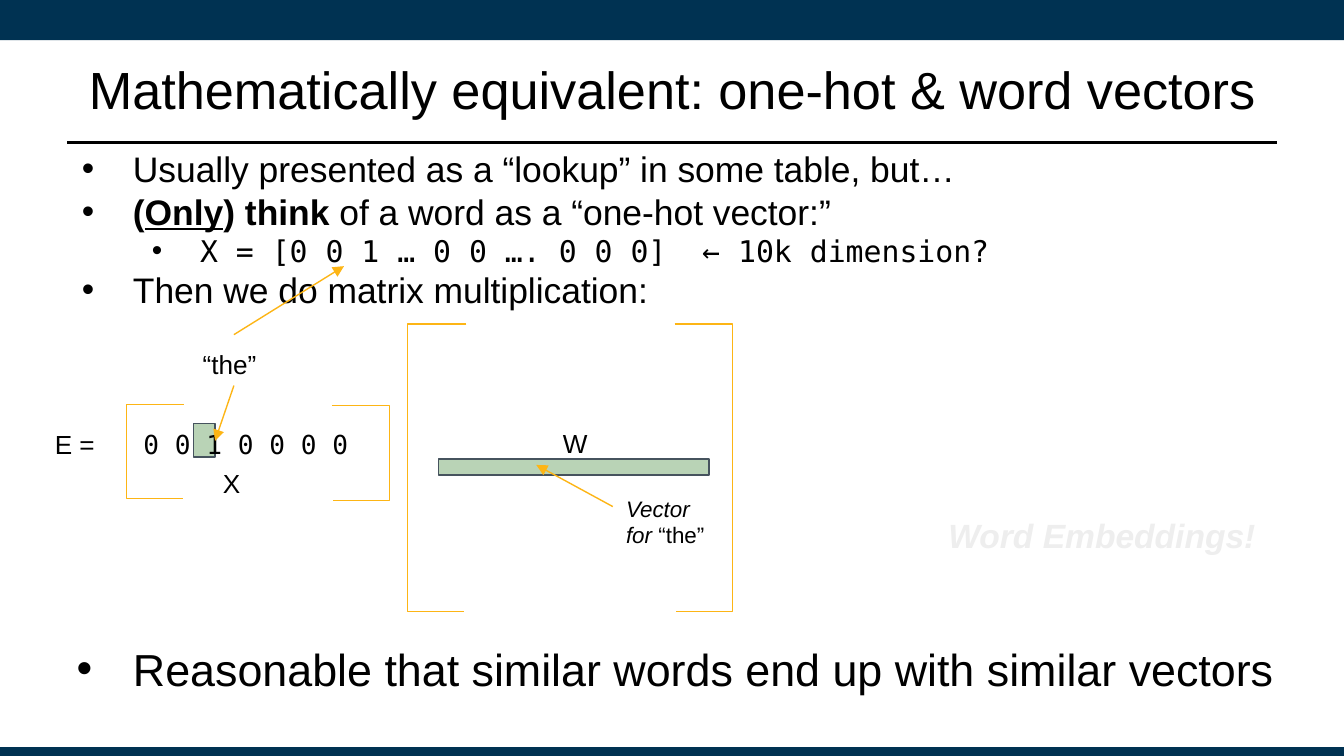
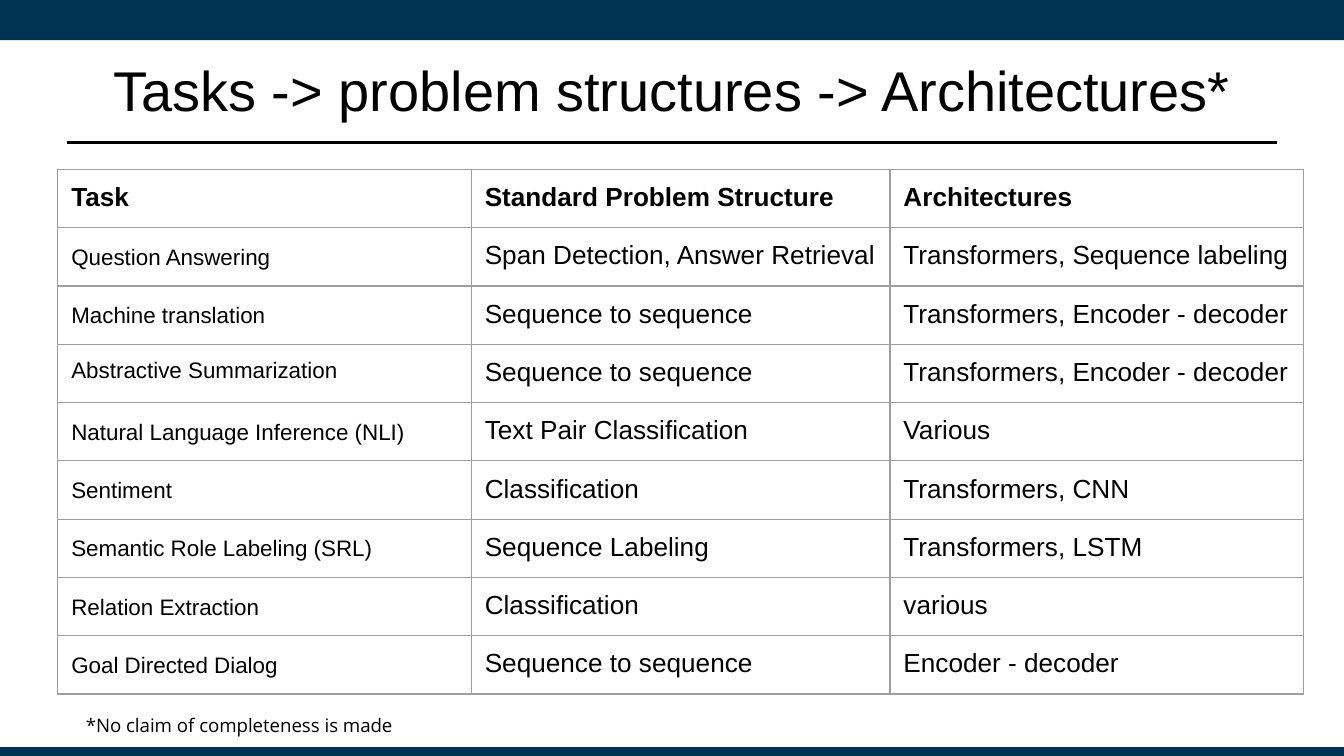
from dataclasses import dataclass, field
from typing import Any

import pptx
import pptx.dml.color
import pptx.enum.shapes
import pptx.enum.text
import pptx.oxml
import pptx.oxml.ns
import pptx.util
from pptx.util import Pt

SHAPE = pptx.enum.shapes.MSO_SHAPE
ANCHOR = pptx.enum.text.MSO_ANCHOR
ALIGN = pptx.enum.text.PP_ALIGN
COLORS = {
    "navy": "003252",
    "black": "000000",
    "white": "FFFFFF",
    "gold": "FDB515",
    "sage": "B9D3B6",
    "slate": "46535E",
    "pale": "EEEEEE",
    "grid": "9E9E9E",
}
SLIDE_WIDTH, SLIDE_HEIGHT = 720, 405
SANS, MONO, NOTE_FONT = "Arial", "DejaVu Sans Mono", "Open Sans"
PLACEHOLDER_INSETS = (5.04, 2.7)
LABEL_INSETS = (7.2, 7.2)


@dataclass(frozen=True)
class Span:
    text: str
    size: float = 14
    font: str = SANS
    color: str = "black"
    style: dict[str, bool] = field(default_factory=dict)


@dataclass(frozen=True)
class Line:
    spans: list[Span]
    format: dict[str, Any] = field(default_factory=dict)
    bullet: tuple[float, float] | None = None


@dataclass(frozen=True)
class TextBlock:
    box: tuple[float, float, float, float]
    lines: list[Line]
    insets: tuple[float, float] = LABEL_INSETS
    anchor: Any = ANCHOR.TOP


@dataclass(frozen=True)
class Bar:
    box: tuple[float, float, float, float]
    fill: str
    outline: str | None = None
    rotation: float = 0


@dataclass(frozen=True)
class Stroke:
    start: tuple[float, float]
    end: tuple[float, float]
    color: str = "gold"
    width: float = 0.75
    arrow: bool = True


@dataclass(frozen=True)
class Bracket:
    spine: float
    top: float
    bottom: float
    upper_tip: float
    lower_tip: float


FRAME_BARS = [
    Bar((0, 0, SLIDE_WIDTH, 21.6), "navy"),
    Bar((0, 400.3, SLIDE_WIDTH, 5.5), "navy"),
]
TITLE_RULE = Stroke((36, 76.3), (684, 76.3), "black", 1.25, False)

TOP_BULLET = (36, -27.4)
BODY_LINES = [
    Line([Span("Usually presented as a “lookup” in some table, but…", 19)], bullet=TOP_BULLET),
    Line(
        [
            Span("(", 19, style={"bold": True}),
            Span("Only", 19, style={"bold": True, "underline": True}),
            Span(") think ", 19, style={"bold": True}),
            Span("of a word as a “one-hot vector:”", 19),
        ],
        bullet=TOP_BULLET,
    ),
    Line(
        [Span("X = [0 0 1 … 0 0 …. 0 0 0]  ← 10k dimension?", 16, MONO)],
        {"level": 1},
        (72, -25.9),
    ),
    Line([Span("Then we do matrix multiplication:", 19)], bullet=TOP_BULLET),
]
CONCLUSION = Line(
    [Span("Reasonable that similar words end up with similar vectors", 24)],
    bullet=(36, -30.2),
)
EMBEDDING_BLOCKS = [
    TextBlock((69.8, 222.5, 131.8, 27.4), [Line([Span("0 0 1 0 0 0 0", font=MONO)])]),
    TextBlock((30.2, 91.4, 648, 77.8), BODY_LINES, PLACEHOLDER_INSETS, ANCHOR.BOTTOM),
    TextBlock((294.5, 221.8, 33.8, 27.4), [Line([Span("W")])]),
    TextBlock((112.3, 243.4, 26.6, 23), [Line([Span("X")])]),
    TextBlock((101.5, 179.3, 47.5, 27.4), [Line([Span("“the”")])]),
    TextBlock((22.3, 222.5, 41, 27.4), [Line([Span("E =")])]),
    TextBlock((30.2, 341, 658.8, 38.9), [CONCLUSION], PLACEHOLDER_INSETS),
    TextBlock(
        (328.3, 257.8, 59.8, 27.4),
        [Line([Span("Vector for ", 12, style={"italic": True}), Span("“the”", 12)])],
    ),
    TextBlock(
        (501, 268.5, 185, 36),
        [Line([Span("Word Embeddings!", 18, color="pale", style={"bold": True, "italic": True})])],
    ),
]
VECTOR_BARS = [
    Bar((103.7, 226.8, 11.5, 18), "sage", "slate"),
    Bar((303.1, 177.8, 8.6, 144.7), "sage", "slate", 90),
]
BRACKETS = [
    Bracket(218.2, 173.5, 327.6, 249.8, 248.4),
    Bracket(392.4, 173.5, 327.6, 361.4, 362.2),
    Bracket(67.7, 216.7, 267.1, 98.6, 97.9),
    Bracket(208.8, 217.4, 268.3, 177.8, 178.6),
]
ARROWS = [
    Stroke((125.3, 206.6), (115.2, 236.2)),
    Stroke((125.3, 179.3), (184.3, 142.6)),
    Stroke((328.3, 271.4), (287.3, 249.1)),
]

TASK_ROWS = [
    ("Task", "Standard Problem Structure", "Architectures"),
    ("Question Answering", "Span Detection, Answer Retrieval", "Transformers, Sequence labeling"),
    ("Machine translation", "Sequence to sequence", "Transformers, Encoder - decoder"),
    ("Abstractive Summarization", "Sequence to sequence", "Transformers, Encoder - decoder"),
    ("Natural Language Inference (NLI)", "Text Pair Classification", "Various"),
    ("Sentiment", "Classification", "Transformers, CNN"),
    ("Semantic Role Labeling (SRL)", "Sequence Labeling", "Transformers, LSTM"),
    ("Relation Extraction", "Classification", "various"),
    ("Goal Directed Dialog", "Sequence to sequence", "Encoder - decoder"),
]
TASK_COLUMNS = (221.5, 224.3, 221.5)
TASK_ROW_HEIGHT = 30.1
SINGLE_SPACED_ROWS = (0, 3)
FOOTNOTE = TextBlock(
    (38.9, 376.6, 550, 13.7),
    [Line([Span("*No claim of completeness is made", 10, NOTE_FONT)])],
)


def rgb(name: str) -> pptx.dml.color.RGBColor:
    return pptx.dml.color.RGBColor.from_string(COLORS[name])


def points(values) -> list[pptx.util.Length]:
    return [Pt(value) for value in values]


def apply_format(target, values: dict[str, Any]) -> None:
    for attribute, value in values.items():
        setattr(target, attribute, value)


def add_xml(parent, tag: str, **attributes: str):
    element = pptx.oxml.ns.qn(tag)
    child = parent.makeelement(element, attributes)
    parent.append(child)
    return child


def margins(insets: tuple[float, float]) -> dict[str, Any]:
    side, edge = points(insets)
    return {"margin_left": side, "margin_right": side, "margin_top": edge, "margin_bottom": edge}


def write_line(paragraph, line: Line) -> None:
    if line.bullet:
        properties = paragraph._p.get_or_add_pPr()
        for name, value in zip(("marL", "indent"), points(line.bullet)):
            properties.set(name, str(int(value)))
        add_xml(add_xml(properties, "a:buClr"), "a:srgbClr", val=COLORS["black"])
        add_xml(properties, "a:buFont", typeface=SANS)
        add_xml(properties, "a:buChar", char="•")
    apply_format(paragraph, line.format)
    for span in line.spans:
        run = paragraph.add_run()
        run.text = span.text
        apply_format(run.font, {"size": Pt(span.size), "name": span.font, **span.style})
        run.font.color.rgb = rgb(span.color)


def draw_text(slide, block: TextBlock) -> None:
    frame = slide.shapes.add_textbox(*points(block.box)).text_frame
    apply_format(
        frame, {"word_wrap": True, "vertical_anchor": block.anchor, **margins(block.insets)}
    )
    for index, line in enumerate(block.lines):
        write_line(frame.add_paragraph() if index else frame.paragraphs[0], line)


def draw_bar(slide, bar: Bar) -> None:
    shape = slide.shapes.add_shape(SHAPE.RECTANGLE, *points(bar.box))
    shape.shadow.inherit = False
    shape.rotation = bar.rotation
    shape.fill.solid()
    shape.fill.fore_color.rgb = rgb(bar.fill)
    if bar.outline:
        shape.line.color.rgb = rgb(bar.outline)
        shape.line.width = Pt(0.75)
    else:
        shape.line.fill.background()


def draw_stroke(slide, stroke: Stroke) -> None:
    connector = slide.shapes.add_connector(
        pptx.enum.shapes.MSO_CONNECTOR.STRAIGHT, *points(stroke.start + stroke.end)
    )
    connector.line.color.rgb = rgb(stroke.color)
    connector.line.width = Pt(stroke.width)
    if stroke.arrow:
        add_xml(connector.line._get_or_add_ln(), "a:tailEnd", type="triangle")
    add_xml(connector._element.spPr, "a:effectLst")


def draw_bracket(slide, bracket: Bracket) -> None:
    builder = slide.shapes.build_freeform(Pt(bracket.upper_tip), Pt(bracket.top))
    corners = [
        (bracket.spine, bracket.top),
        (bracket.spine, bracket.bottom),
        (bracket.lower_tip, bracket.bottom),
    ]
    builder.add_line_segments([points(corner) for corner in corners], close=False)
    outline = builder.convert_to_shape()
    outline.shadow.inherit = False
    outline.fill.background()
    outline.line.color.rgb = rgb("gold")
    outline.line.width = Pt(0.75)


def draw_task_cell(cell, text: str, row: int, column: int) -> None:
    apply_format(cell, margins(LABEL_INSETS))
    size = 12 if row and not column else 14
    loose = column == 0 and row not in SINGLE_SPACED_ROWS
    write_line(
        cell.text_frame.paragraphs[0],
        Line([Span(text, size, style={"bold": row == 0})], {"line_spacing": 1.15} if loose else {}),
    )
    properties = cell._tc.get_or_add_tcPr()
    for side in "LRTB":
        border = add_xml(properties, f"a:ln{side}", w=str(int(Pt(0.75))))
        add_xml(add_xml(border, "a:solidFill"), "a:srgbClr", val=COLORS["grid"])
    cell.fill.background()


def draw_task_table(slide) -> None:
    height = TASK_ROW_HEIGHT * len(TASK_ROWS)
    frame = slide.shapes.add_table(
        len(TASK_ROWS), len(TASK_COLUMNS), *points((31, 90.7, sum(TASK_COLUMNS), height))
    )
    table = frame.table
    apply_format(table, {"first_row": False, "horz_banding": False})
    for column, width in zip(table.columns, TASK_COLUMNS):
        column.width = Pt(width)
    for row, texts in enumerate(TASK_ROWS):
        table.rows[row].height = Pt(TASK_ROW_HEIGHT)
        for column, text in enumerate(texts):
            draw_task_cell(table.cell(row, column), text, row, column)


def add_titled_slide(deck, title: str, size: float):
    slide = deck.slides.add_slide(deck.slide_layouts[6])
    slide.background.fill.solid()
    slide.background.fill.fore_color.rgb = rgb("white")
    for bar in FRAME_BARS:
        draw_bar(slide, bar)
    draw_stroke(slide, TITLE_RULE)
    heading = Line([Span(title, size)], {"alignment": ALIGN.CENTER})
    draw_text(
        slide, TextBlock((36, 13.7, 648, 67.7), [heading], PLACEHOLDER_INSETS, ANCHOR.MIDDLE)
    )
    return slide


def main() -> None:
    deck = pptx.Presentation()
    apply_format(deck, {"slide_width": Pt(SLIDE_WIDTH), "slide_height": Pt(SLIDE_HEIGHT)})

    embeddings = add_titled_slide(deck, "Mathematically equivalent: one-hot & word vectors", 28)
    for draw, parts in (
        (draw_bar, VECTOR_BARS),
        (draw_text, EMBEDDING_BLOCKS),
        (draw_bracket, BRACKETS),
        (draw_stroke, ARROWS),
    ):
        for part in parts:
            draw(embeddings, part)

    tasks = add_titled_slide(deck, "Tasks -> problem structures -> Architectures*", 30)
    draw_task_table(tasks)
    draw_text(tasks, FOOTNOTE)
    deck.save("out.pptx")


if __name__ == "__main__":
    main()
